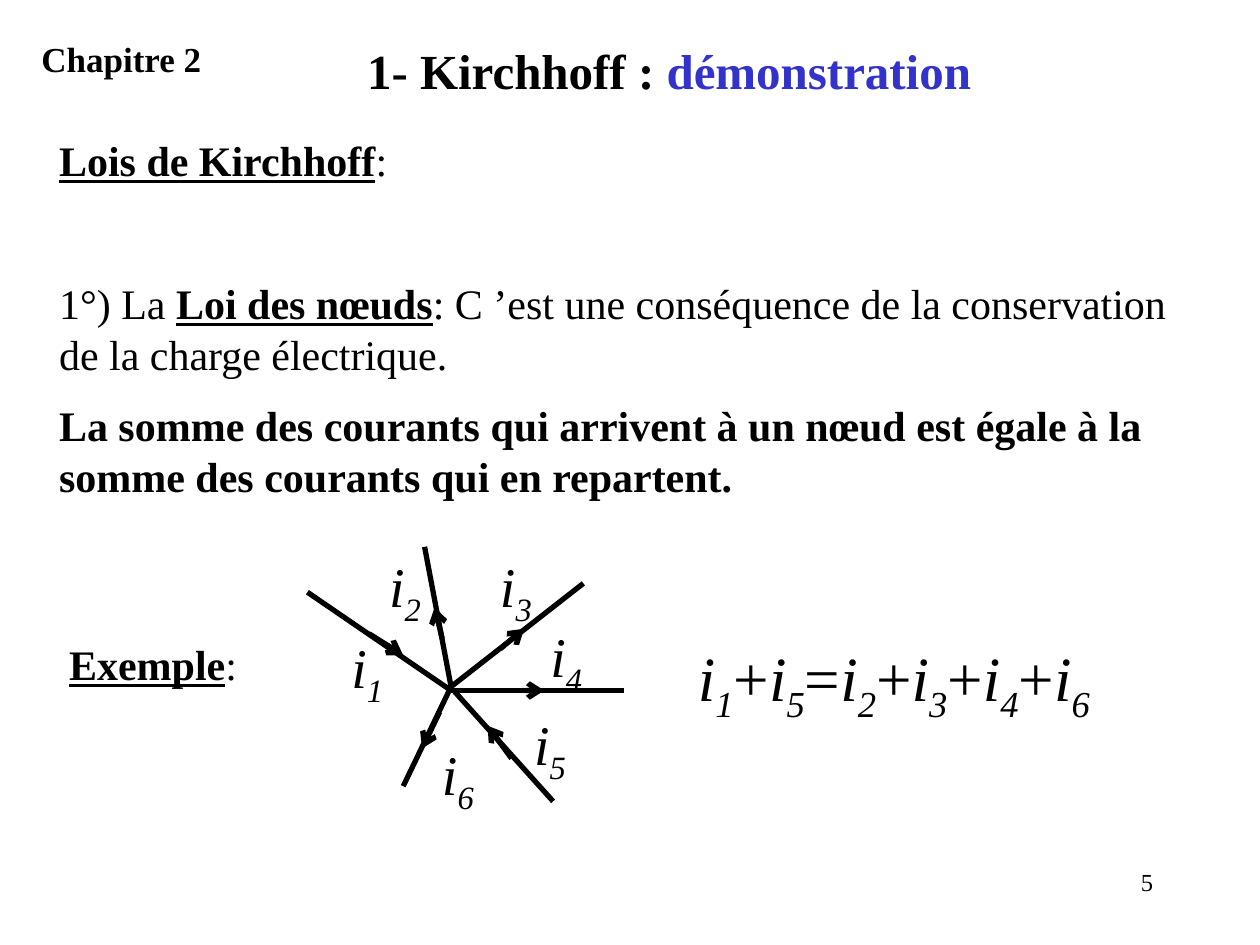
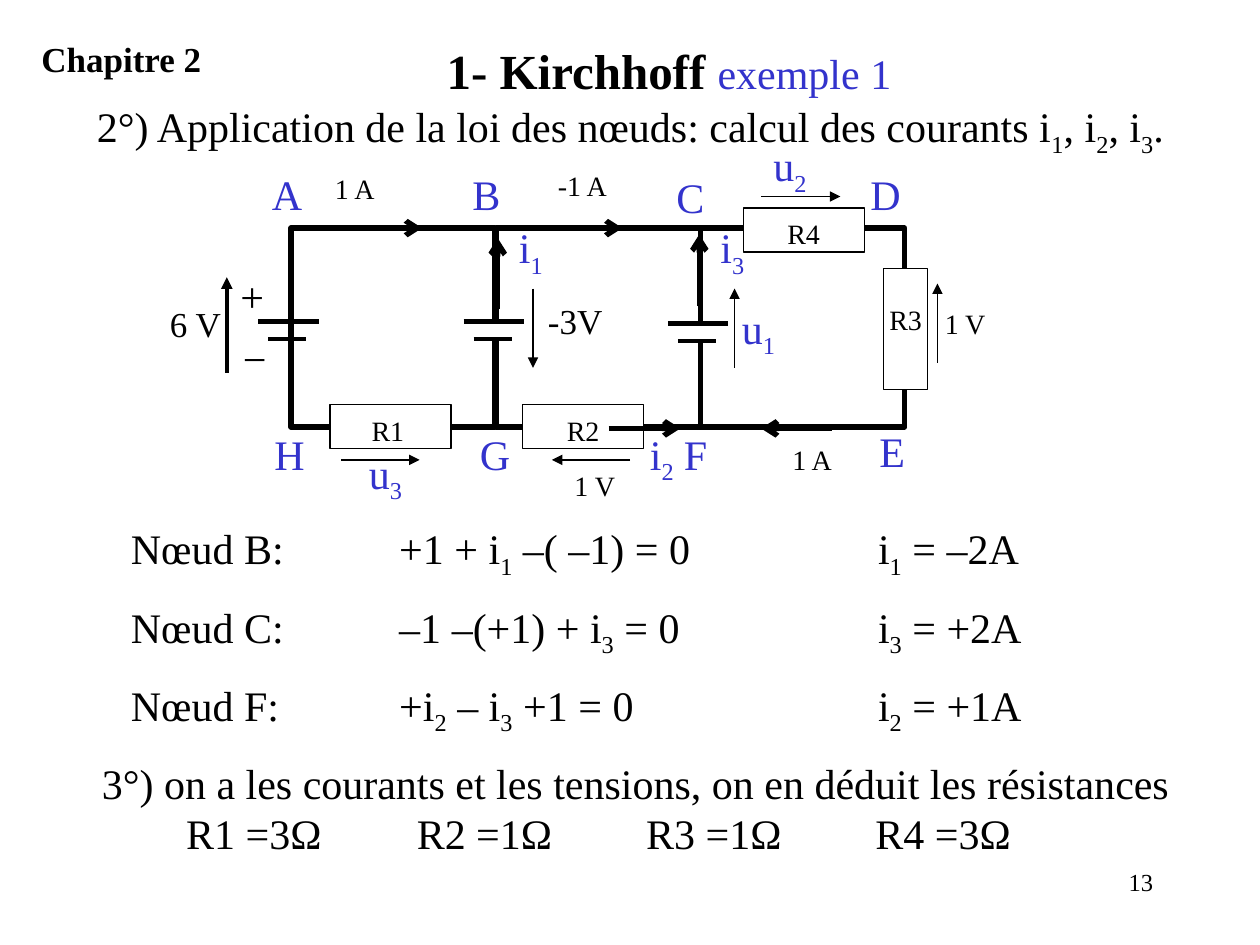
from dataclasses import dataclass

from lxml import etree
from pptx import Presentation
from pptx import util as u
from pptx.dml import color
from pptx.enum import shapes, text
from pptx.oxml import ns


@dataclass(frozen=True)
class Theme:
    """Colours, type sizes and line weights shared by both slides."""
    font: str = "Times New Roman"
    ink: str = "000000"
    accent: str = "3333CC"
    paper: str = "FFFFFF"
    title: int = 28
    formula: int = 36
    current: int = 32
    body: int = 24
    medium: int = 20
    small: int = 16
    footer: int = 14
    gap: int = 12
    thick: float = 3
    middle: float = 2.25
    thin: float = 0.75


T = Theme()
KEY = {"bold": True, "underline": True}
STRONG = {"bold": True}
ITALIC = {"italic": True}

# ---- Content: "_" puts the next character in subscript ----
CHAPTER = "Chapitre 2"
LAW_TITLE = [("1- Kirchhoff : ", STRONG),
             ("démonstration", {"bold": True, "colour": T.accent})]
LAW_PARAGRAPHS = [
    [("Lois de Kirchhoff", KEY), ": "],
    ["1°) La ", ("Loi des nœuds", KEY),
     ": C\u00a0’est une conséquence de la conservation de la charge électrique. "],
    [("La somme des courants qui arrivent à un nœud est égale à la "
      "somme des courants qui en repartent.", STRONG)],
]
LAW_GAPS = [0, 53, T.gap]
EXAMPLE = [("Exemple", KEY), ":"]
BALANCE = ["i_1", "+", "i_5", "=", "i_2", "+", "i_3", "+", "i_4", "+", "i_6"]
# current: branch from, branch to, arrow from, arrow to, label corner
BRANCHES = {
    "i_1": ((2.44, 4.7), (3.58, 5.48), (2.93, 5.03), (3.2, 5.2), (2.69, 4.97)),
    "i_2": ((3.58, 5.45), (3.37, 4.34), (3.51, 5.07), (3.45, 4.82), (2.99, 4.33)),
    "i_3": ((3.58, 5.45), (4.63, 4.63), (3.97, 5.15), (4.16, 4.99), (3.87, 4.33)),
    "i_4": ((3.58, 5.48), (4.95, 5.48), (4.06, 5.48), (4.32, 5.48), (4.27, 4.88)),
    "i_5": ((3.6, 5.48), (4.39, 6.36), (4.06, 6.02), (3.87, 5.76), (4.14, 5.58)),
    "i_6": ((3.58, 5.45), (3.2, 6.24), (3.49, 5.65), (3.35, 5.94), (3.41, 5.82)),
}

CIRCUIT_TITLE = [("1- Kirchhoff ", STRONG),
                 ("exemple 1", {"size": T.body, "colour": T.accent})]
APPLICATION = "2°) Application de la loi des nœuds: calcul des courants i_1, i_2, i_3."
EQUATIONS = [
    ("Nœud B:", "+1 + i_1 –( –1) = 0", "i_1 = –2A "),
    ("Nœud C:", "–1 –(+1) + i_3 = 0", "i_3 = +2A "),
    ("Nœud F:", "+i_2 – i_3 +1 = 0", "i_2 = +1A"),
]
EQUATION_TABS = [2.13, 5.93]
DEDUCTION = "3°) on a les courants et les tensions, on en déduit les résistances"
RESISTANCES = ["R1 =3Ω", "R2 =1Ω", "R3 =1Ω", "R4 =3Ω"]
RESISTANCE_TABS = [round(0.67 + 1.825 * n, 2) for n in range(4)]

LOOP_LEFTS = [2.31, 3.94, 5.56]
LOOP_TOP, LOOP_WIDTH, LOOP_HEIGHT = 1.81, 1.62, 1.58
RESISTOR_LONG, RESISTOR_SHORT = 0.96, 0.35
# resistor: left, top, is upright, label corner
RESISTORS = {
    "R1": (2.62, 3.21, False, (2.85, 3.23)),
    "R2": (4.15, 3.21, False, (4.4, 3.23)),
    "R3": (7.01, 2.13, True, (6.96, 2.35)),
    "R4": (5.9, 1.65, False, (6.15, 1.67)),
}
# left and top of the long plate, whether the wire is cut between the plates
BATTERIES = [(2.05, 2.55, False), (3.68, 2.55, True), (5.3, 2.57, True)]
CURRENT_ARROWS = [
    ((5.55, 2.43), (5.55, 1.86)), ((3.95, 2.45), (3.95, 1.89)),
    ((4.83, 3.4), (5.4, 3.4)), ((2.79, 1.81), (3.35, 1.81)),
    ((4.38, 1.81), (4.94, 1.81)), ((6.6, 3.4), (6.04, 3.4)),
]
VOLTAGE_ARROWS = [
    ((2.71, 3.65), (3.33, 3.65)), ((5, 3.65), (4.38, 3.65)),
    ((6.04, 1.56), (6.67, 1.56)), ((7.44, 2.88), (7.44, 2.25)),
    ((5.83, 2.92), (5.83, 2.29)), ((4.23, 2.29), (4.23, 2.92)),
]
SOURCE_ARROW = ((1.8, 2.96), (1.8, 2.2))
# (size, colour, box width): [(label, left, top)]
CIRCUIT_LABELS = {
    (T.small, T.ink, 0.88): [
        ("1 V", 7.4, 2.38), ("1 A", 2.56, 1.31), ("-1 A", 4.33, 1.29),
        ("1 A", 6.19, 3.46), ("1 V", 4.46, 3.67)],
    (T.medium, T.ink, 0.85): [("6 V", 1.25, 2.35), ("-3V", 4.25, 2.33)],
    (T.body, T.ink, 0.5): [("+", 1.81, 2.1), ("−", 1.83, 2.59)],
    (T.body, T.accent, 0.65): [
        ("u_1", 5.79, 2.35), ("u_2", 6.04, 1.06), ("u_3", 2.83, 3.5)],
    (T.body, T.accent, 0.44): [
        ("i_1", 4.02, 1.71), ("i_2", 5.06, 3.35), ("i_3", 5.62, 1.71)],
    (T.body, T.accent, 0.52): [
        ("A", 2.06, 1.29), ("B", 3.65, 1.29), ("C", 5.27, 1.31),
        ("D", 6.81, 1.29), ("E", 6.88, 3.33), ("F", 5.33, 3.35),
        ("G", 3.71, 3.35), ("H", 2.08, 3.35)],
}


# ---- Drawing helpers ----
def rgb(code):
    """Turn a hex code into a colour."""
    return color.RGBColor.from_string(code)


def add_run(paragraph, words, size, colour, bold=False, italic=False,
            underline=False, subscript=False):
    """Append one formatted run."""
    run = paragraph.add_run()
    run.text = words
    font = run.font
    font.name, font.size = T.font, u.Pt(size)
    font.bold, font.italic, font.underline = bold, italic, underline
    font.color.rgb = rgb(colour)
    if subscript:
        run._r.get_or_add_rPr().set("baseline", "-25000")


def set_tabs(paragraph, stops):
    """Give a paragraph left tab stops, in inches."""
    tabs = etree.SubElement(paragraph._p.get_or_add_pPr(), ns.qn("a:tabLst"))
    for stop in stops:
        etree.SubElement(tabs, ns.qn("a:tab"), pos=str(u.Inches(stop)), algn="l")


def write(slide, paragraphs, left, top, width, size=T.body, colour=T.ink,
          align=text.PP_ALIGN.LEFT, gaps=None, tabs=(), height=None, **style):
    """Write a string, or paragraphs of strings and (string, format) pairs."""
    if isinstance(paragraphs, str):
        paragraphs = [[paragraphs]]
    height = height or size * 1.2 / 72 * len(paragraphs) + 0.1
    frame = slide.shapes.add_textbox(
        *map(u.Inches, (left, top, width, height))).text_frame
    frame.word_wrap = True
    for n, pieces in enumerate(paragraphs):
        paragraph = frame.add_paragraph() if n else frame.paragraphs[0]
        paragraph.alignment = align
        paragraph.space_before = u.Pt(gaps[n] if gaps else 0)
        if tabs:
            set_tabs(paragraph, tabs)
        for piece in pieces:
            words, own = (piece, {}) if isinstance(piece, str) else piece
            look = {"size": size, "colour": colour, **style, **own}
            first, *rest = words.split("_")
            add_run(paragraph, first, **look)
            for part in rest:
                add_run(paragraph, part[0], subscript=True, **look)
                if part[1:]:
                    add_run(paragraph, part[1:], **look)


def draw_line(slide, start, end, weight=T.thick, arrow=None):
    """Draw a straight line, with an arrowhead at its end if one is named."""
    line = slide.shapes.add_connector(
        shapes.MSO_CONNECTOR.STRAIGHT, *map(u.Inches, (*start, *end)))
    line.line.color.rgb, line.line.width = rgb(T.ink), u.Pt(weight)
    if arrow:
        etree.SubElement(line.line._get_or_add_ln(), ns.qn("a:tailEnd"), type=arrow)
    etree.SubElement(line._element.spPr, ns.qn("a:effectLst"))


def draw_box(slide, left, top, width, height, weight=None, filled=True):
    """Draw a rectangle, outlined when it has a weight."""
    box = slide.shapes.add_shape(
        shapes.MSO_SHAPE.RECTANGLE, *map(u.Inches, (left, top, width, height)))
    box.shadow.inherit = False
    if filled:
        box.fill.solid()
        box.fill.fore_color.rgb = rgb(T.paper)
    else:
        box.fill.background()
    if weight:
        box.line.color.rgb, box.line.width = rgb(T.ink), u.Pt(weight)
    else:
        box.line.fill.background()


def start_slide(deck, title, number):
    """Add a blank slide with the shared heading and page number."""
    slide = deck.slides.add_slide(deck.slide_layouts[6])
    slide.background.fill.solid()
    slide.background.fill.fore_color.rgb = rgb(T.paper)
    write(slide, number, 7.17, 6.83, 2.08, size=T.footer, height=0.5,
          align=text.PP_ALIGN.RIGHT)
    write(slide, [title], 0.89, 0.27, 8.84, size=T.title,
          align=text.PP_ALIGN.CENTER)
    write(slide, CHAPTER, 0.23, 0.25, 2.84, size=T.medium, bold=True)
    return slide


# ---- Slides ----
def build_law(deck):
    """Build the node law slide with its star of branches."""
    slide = start_slide(deck, LAW_TITLE, "5")
    write(slide, LAW_PARAGRAPHS, 0.37, 1.02, 9.38, gaps=LAW_GAPS, height=3.1)
    for start, end, arrow_start, arrow_end, _ in BRANCHES.values():
        draw_line(slide, start, end)
        draw_line(slide, arrow_start, arrow_end, arrow="arrow")
    for current, (*_, corner) in BRANCHES.items():
        write(slide, current, *corner, 0.64, size=T.current, italic=True)
    balance = [(term, ITALIC) if "_" in term else term for term in BALANCE]
    write(slide, [balance], 5.44, 5.02, 3.63, size=T.formula)
    write(slide, [EXAMPLE], 0.45, 5.02, 1.97)


def draw_circuit(slide):
    """Draw the three-loop circuit: wires, parts, arrows, labels."""
    for left in LOOP_LEFTS:
        draw_box(slide, left, LOOP_TOP, LOOP_WIDTH, LOOP_HEIGHT, T.thick, filled=False)
    for left, top, upright, _ in RESISTORS.values():
        sides = (RESISTOR_LONG, RESISTOR_SHORT)
        draw_box(slide, left, top, *(sides[::-1] if upright else sides), T.thin)
    for left, top, cut in BATTERIES:
        if cut:
            draw_box(slide, left + 0.03, top - 0.01, 0.46, 0.15)
        draw_line(slide, (left, top), (left + 0.48, top))
        draw_line(slide, (left + 0.08, top + 0.14), (left + 0.38, top + 0.14), T.middle)
    for ends in CURRENT_ARROWS:
        draw_line(slide, *ends, arrow="arrow")
    for ends in VOLTAGE_ARROWS:
        draw_line(slide, *ends, weight=T.thin, arrow="triangle")
    draw_line(slide, *SOURCE_ARROW, weight=T.middle, arrow="triangle")
    for resistor, (*_, corner) in RESISTORS.items():
        write(slide, resistor, *corner, 0.79, size=T.small)
    for (size, colour, width), labels in CIRCUIT_LABELS.items():
        for label, left, top in labels:
            write(slide, label, left, top, width, size=size, colour=colour)


def build_circuit(deck):
    """Build the worked example slide."""
    slide = start_slide(deck, CIRCUIT_TITLE, "13")
    write(slide, APPLICATION, 0.67, 0.75, 8.81)
    write(slide, [["\t".join(row)] for row in EQUATIONS], 0.94, 4.1, 7.75,
          gaps=[0, T.gap, T.gap], tabs=EQUATION_TABS, height=1.7)
    draw_circuit(slide)
    values = "".join("\t" + value for value in RESISTANCES)
    write(slide, [[DEDUCTION], [values]], 0.71, 5.96, 9.1, tabs=RESISTANCE_TABS)


presentation = Presentation()
presentation.slide_width, presentation.slide_height = u.Inches(10), u.Inches(7.5)
build_law(presentation)
build_circuit(presentation)
presentation.save("out.pptx")
